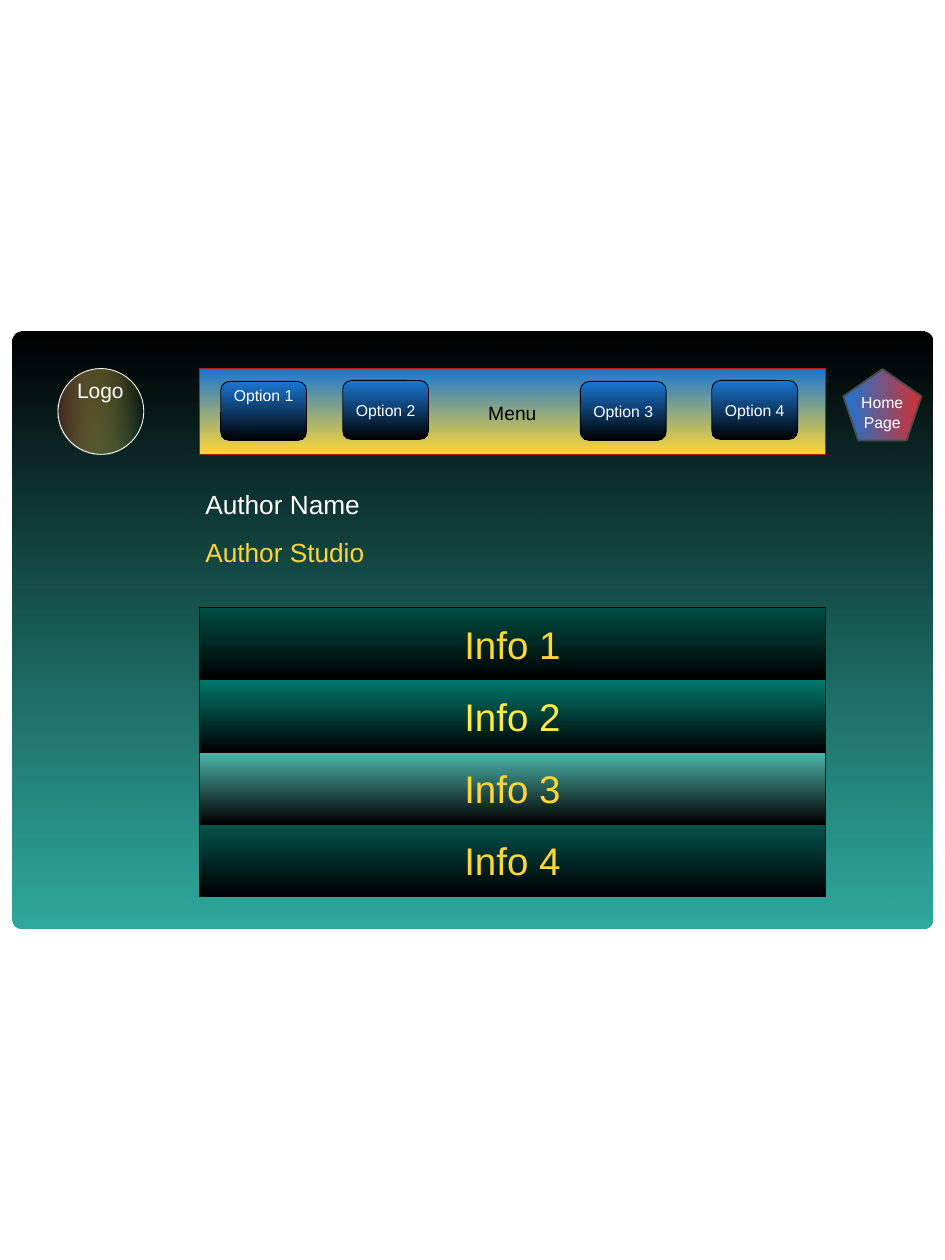
from dataclasses import dataclass
from typing import Any

from lxml import etree
from pptx import Presentation
from pptx import util as u
from pptx.dml.color import RGBColor
from pptx.enum import shapes, text
from pptx.oxml.ns import qn

COLORS = {
    "black": "000000", "white": "FFFFFF", "red": "B71C1C", "crimson": "D2302F",
    "blue": "1A76D2", "gold": "FDD735", "lemon": "FFEB3B", "straw": "FFEF59",
    "brown": "3E2723", "grey": "4A4A4A", "teal": "009588", "pine": "004D41",
    "jade": "00796B", "mint": "4DB5AB", "spruce": "02534C",
}
KIND = shapes.MSO_SHAPE
ALIGN = text.PP_ALIGN
ANCHOR = text.MSO_ANCHOR
DOWN, LEFTWARD = 270, 180


@dataclass
class Page:
    """Holds the style and the slide that elements are added to."""

    slide: Any
    font: str = "Arial"

    def color(self, name):
        return RGBColor.from_string(COLORS[name])

    def caption(self, holder, words, size, color, align=ALIGN.CENTER,
                anchor=ANCHOR.MIDDLE, spacing=1.08):
        frame = holder.text_frame
        frame.word_wrap = True
        frame.vertical_anchor = anchor
        frame.margin_left = frame.margin_right = 0
        frame.margin_top = frame.margin_bottom = 0
        line = frame.paragraphs[0]
        line.text = words
        line.alignment = align
        line.line_spacing = spacing
        line.font.name = self.font
        line.font.size = u.Pt(size)
        line.font.color.rgb = self.color(color)

    def panel(self, kind, box, stops, angle=DOWN, outline=None, width=0.48, radius=None):
        panel = self.slide.shapes.add_shape(kind, *map(u.Cm, box))
        panel.shadow.inherit = False
        if radius is not None:
            panel.adjustments[0] = radius / min(box[2:])
        panel.fill.gradient()
        panel.fill.gradient_angle = angle
        for stop, (name, opacity) in zip(panel.fill.gradient_stops, stops):
            stop.color.rgb = self.color(name)
        tints = panel.element.spPr.findall(f".//{qn('a:gs')}/{qn('a:srgbClr')}")
        for tint, (name, opacity) in zip(tints, stops):
            if opacity < 100:
                etree.SubElement(tint, qn("a:alpha"), val=str(opacity * 1000))
        if outline:
            panel.line.color.rgb = self.color(outline)
            panel.line.width = u.Pt(width)
        else:
            panel.line.fill.background()
        return panel

    def label(self, box, words, size, color, **layout):
        self.caption(self.slide.shapes.add_textbox(*map(u.Cm, box)), words, size, color, **layout)


def main():
    deck = Presentation()
    deck.slide_width, deck.slide_height = u.Cm(19.05), u.Cm(25.4)
    page = Page(deck.slides.add_slide(deck.slide_layouts[6]))

    page.panel(KIND.ROUNDED_RECTANGLE, (0.25, 6.69, 18.54, 12.03),
               [("black", 100), ("teal", 82)], radius=0.18)

    page.panel(KIND.OVAL, (1.17, 7.43, 1.73, 1.73), [("straw", 0), ("brown", 100)],
               LEFTWARD, "white")
    page.label((1.4, 7.57, 1.25, 1.42), "Logo", 12, "white", anchor=ANCHOR.TOP)

    column, span = 4.02, 12.62
    menu = page.panel(KIND.RECTANGLE, (column, 7.43, span, 1.73),
                      [("blue", 100), ("gold", 100)], outline="red")
    page.caption(menu, "Menu", 11, "black")

    options = [(4.45, 7.69, ANCHOR.TOP), (6.91, 7.67, ANCHOR.MIDDLE),
               (11.7, 7.69, ANCHOR.MIDDLE), (14.35, 7.67, ANCHOR.MIDDLE)]
    for number, (left, top, anchor) in enumerate(options, 1):
        option = page.panel(KIND.ROUNDED_RECTANGLE, (left, top, 1.73, 1.19),
                            [("blue", 100), ("black", 100)], outline="black", radius=0.18)
        page.caption(option, f"Option {number}", 9, "white", anchor=anchor)

    authors = [("Author Name", 9.8, "white"), ("Author Studio", 10.77, "gold")]
    for words, top, color in authors:
        page.label((4.14, top, 4.09, 0.69), words, 15, color,
                   align=ALIGN.LEFT, anchor=ANCHOR.TOP, spacing=1.06)

    info_top, info_bottom = 12.25, 18.07
    rows = [("pine", "gold"), ("jade", "lemon"), ("mint", "gold"), ("spruce", "gold")]
    row_height = (info_bottom - info_top) / len(rows)
    for index, (shade, color) in enumerate(rows):
        info = page.panel(KIND.RECTANGLE,
                          (column, info_top + index * row_height, span, row_height),
                          [(shade, 100), ("black", 100)], outline="black")
        page.caption(info, f"Info {index + 1}", 22, color, spacing=1.0)

    page.panel(KIND.REGULAR_PENTAGON, (17, 7.44, 1.58, 1.44),
               [("crimson", 100), ("blue", 100)], LEFTWARD, "grey", 1)
    page.label((17.3, 7.87, 0.97, 0.84), "Home Page", 9, "white")

    deck.save("out.pptx")


if __name__ == "__main__":
    main()
